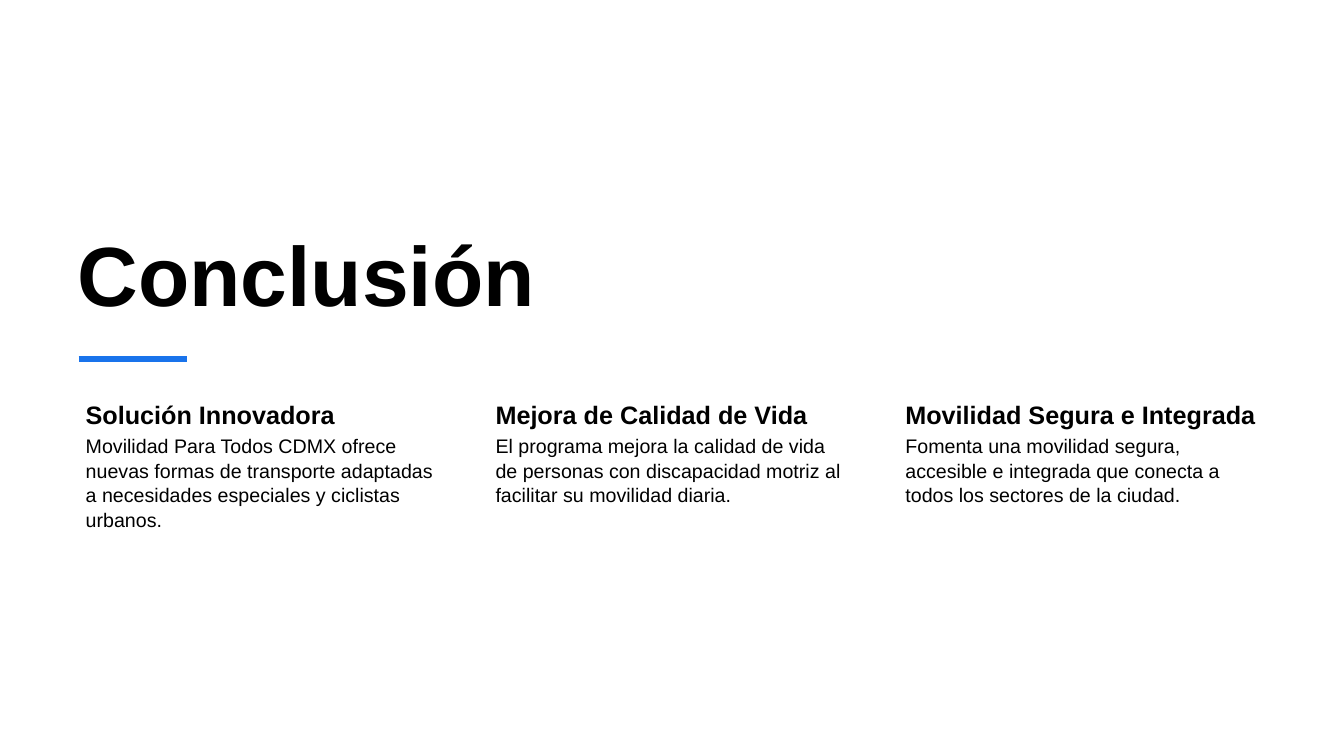
import pptx
import pptx.util
import pptx.dml.color
import pptx.enum.shapes
import pptx.enum.text
from lxml import etree

Inches = pptx.util.Inches
Pt = pptx.util.Pt
COLORS = {"text": "000000", "accent": "1973EB"}


def style_text(frame, text, size, bold, insets):
    frame.word_wrap = True
    frame.auto_size = pptx.enum.text.MSO_AUTO_SIZE.NONE
    frame.margin_left, frame.margin_top, frame.margin_right, frame.margin_bottom = [
        Inches(inset) for inset in insets
    ]
    paragraph = frame.paragraphs[0]
    paragraph.text = text
    paragraph.alignment = pptx.enum.text.PP_ALIGN.LEFT
    paragraph.font.name = "Arial"
    paragraph.font.size = Pt(size)
    paragraph.font.bold = bold
    paragraph.font.color.rgb = pptx.dml.color.RGBColor.from_string(COLORS["text"])
    return paragraph


presentation = pptx.Presentation()
presentation.slide_width = Inches(13.33)
presentation.slide_height = Inches(7.5)
slide = presentation.slides.add_slide(presentation.slide_layouts[5])

title = slide.shapes.title
title.left, title.top = Inches(0.7), Inches(1.72)
title.width, title.height = Inches(8.93), Inches(1.54)
style_text(title.text_frame, "Conclusión", 60, True, (0.07, 0.05, 0.07, 0.05))
title.text_frame.vertical_anchor = pptx.enum.text.MSO_ANCHOR.BOTTOM

conclusions = [
    ("Solución Innovadora",
     "Movilidad Para Todos CDMX ofrece nuevas formas de transporte adaptadas a necesidades especiales y ciclistas urbanos."),
    ("Mejora de Calidad de Vida",
     "El programa mejora la calidad de vida de personas con discapacidad motriz al facilitar su movilidad diaria."),
    ("Movilidad Segura e Integrada",
     "Fomenta una movilidad segura, accesible e integrada que conecta a todos los sectores de la ciudad."),
]
column_width = Inches(3.69)
for column, (heading, description) in enumerate(conclusions):
    left = Inches(0.7 + column * 4.065)
    heading_box = slide.shapes.add_textbox(left, Inches(3.93), column_width, Inches(0.35))
    style_text(heading_box.text_frame, heading, 18, True, (0.15, 0.03, 0.03, 0.03))
    description_box = slide.shapes.add_textbox(left, Inches(4.28), column_width, Inches(2.34))
    body = style_text(description_box.text_frame, description, 14, False, (0.15, 0.02, 0.02, 0.02))
    body.line_spacing = 1.04

accent_rule = slide.shapes.add_connector(
    pptx.enum.shapes.MSO_CONNECTOR.STRAIGHT,
    Inches(0.78), Inches(3.56), Inches(1.85), Inches(3.56))
accent_rule.line.color.rgb = pptx.dml.color.RGBColor.from_string(COLORS["accent"])
accent_rule.line.width = Pt(4.5)
etree.SubElement(accent_rule._element.spPr, pptx.oxml.ns.qn("a:effectLst"))

presentation.save("out.pptx")
